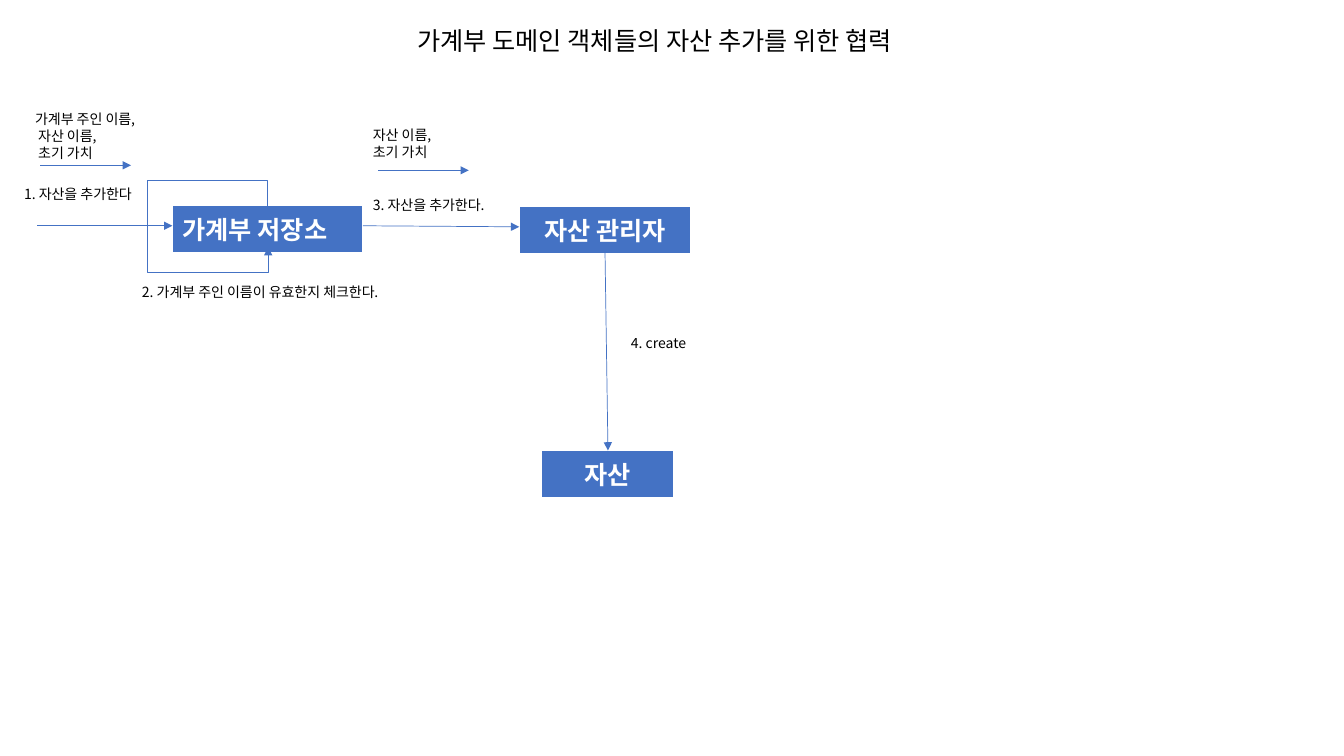
"""Build the slide on how ledger objects collaborate to add an asset."""
import pptx
import pptx.dml.color
import pptx.enum.shapes
import pptx.enum.text
import pptx.oxml
import pptx.oxml.ns
import pptx.util

Inches = pptx.util.Inches
RGB = pptx.dml.color.RGBColor.from_string
qn = pptx.oxml.ns.qn
ALIGN = pptx.enum.text.PP_ALIGN
FIT = pptx.enum.text.MSO_AUTO_SIZE.SHAPE_TO_FIT_TEXT
CONNECTOR = pptx.enum.shapes.MSO_CONNECTOR

THEME = {
    "accent": RGB("4472C4"),
    "title": {"name": "Noto Sans CJK KR", "size": pptx.util.Pt(18)},
    "object": {"name": "Noto Sans CJK KR", "size": pptx.util.Pt(18), "bold": True},
    "message": {"name": "Noto Sans CJK KR", "size": pptx.util.Pt(10)},
    "ink": {"title": RGB("000000"), "object": RGB("FFFFFF"), "message": RGB("000000")},
    "arrow": pptx.util.Pt(0.5),
}

OBJECTS = [
    ("자산 관리자", (5.15, 2.05, 1.7, 0.41), ALIGN.CENTER),
    ("자산", (5.37, 4.47, 1.31, 0.4), ALIGN.CENTER),
    ("가계부 저장소", (1.71, 2.04, 1.89, 0.41), ALIGN.LEFT),
]
LABELS = [
    ("title", ["가계부 도메인 객체들의 자산 추가를 위한 협력"], (4.04, 0.2, 5.53, 0.4), False),
    ("message", ["1. 자산을 추가한다"], (0.14, 1.79, 1.39, 0.27), False),
    ("message", ["가계부 주인 이름,", " 자산 이름,", " 초기 가치"], (0.25, 1.05, 1.7, 0.61), True),
    ("message", ["2. 가계부 주인 이름이 유효한지 체크한다."], (1.31, 2.76, 2.83, 0.27), False),
    ("message", ["3. 자산을 추가한다."], (3.6, 1.9, 1.42, 0.27), False),
    ("message", ["자산 이름,", "초기 가치"], (3.6, 1.21, 1.7, 0.44), True),
    ("message", ["4. create"], (6.16, 3.27, 0.75, 0.27), False),
]
ARROWS = [
    (0.4, 1.64, 1.3, 1.64),
    (0.37, 2.24, 1.71, 2.24),
    (3.6, 2.24, 5.15, 2.25),
    (3.75, 1.69, 4.65, 1.69),
    (6, 2.46, 6.03, 4.47),
]
SELF_CHECK = {"start": (2.65, 2.04), "end": (2.66, 2.45), "left": 1.44, "overhang": 0.25}


def write(paragraph, text, role):
    run = paragraph.add_run()
    run.text = text
    for attribute, value in THEME[role].items():
        setattr(run.font, attribute, value)
    run.font.color.rgb = THEME["ink"][role]
    east_asian = pptx.oxml.parse_xml(
        '<a:ea xmlns:a="http://schemas.openxmlformats.org/drawingml/2006/main"/>')
    east_asian.set("typeface", THEME[role]["name"])
    run.font._element.append(east_asian)


def add_arrow(slide, kind, ends):
    arrow = slide.shapes.add_connector(kind, *map(Inches, ends))
    arrow.line.color.rgb = THEME["accent"]
    arrow.line.width = THEME["arrow"]
    properties = arrow._element.spPr
    head = properties.find(qn("a:ln")).makeelement(qn("a:tailEnd"), {"type": "triangle"})
    properties.find(qn("a:ln")).append(head)
    properties.append(properties.makeelement(qn("a:effectLst"), {}))
    return arrow


def add_self_check(slide, start, end, left, overhang):
    across, down = end[0] - start[0], end[1] - start[1]
    middle_x, middle_y = (start[0] + end[0]) / 2, (start[1] + end[1]) / 2
    loop = add_arrow(slide, CONNECTOR.ELBOW, (
        middle_x + down / 2, middle_y - across / 2,
        middle_x - down / 2, middle_y + across / 2))
    properties = loop._element.spPr
    properties.find(qn("a:xfrm")).set("rot", str(270 * 60000))
    outline = properties.find(qn("a:prstGeom"))
    outline.set("prst", "bentConnector5")
    guides = outline.find(qn("a:avLst"))
    bends = (-overhang / down, (left - start[0]) / across, 1 + overhang / down)
    for number, bend in enumerate(bends, 1):
        guides.append(guides.makeelement(qn("a:gd"), {
            "name": f"adj{number}", "fmla": f"val {round(bend * 100000)}"}))


deck = pptx.Presentation()
deck.slide_width, deck.slide_height = Inches(13.33), Inches(7.5)
slide = deck.slides.add_slide(deck.slide_layouts[6])

for name, place, alignment in OBJECTS:
    cell = slide.shapes.add_table(1, 1, *map(Inches, place)).table.cell(0, 0)
    cell.fill.solid()
    cell.fill.fore_color.rgb = THEME["accent"]
    heading = cell.text_frame.paragraphs[0]
    heading.alignment = alignment
    write(heading, name, "object")

for role, lines, place, wraps in LABELS:
    frame = slide.shapes.add_textbox(*map(Inches, place)).text_frame
    for attribute, value in {"word_wrap": wraps, "auto_size": FIT}.items():
        setattr(frame, attribute, value)
    for index, line in enumerate(lines):
        write(frame.add_paragraph() if index else frame.paragraphs[0], line, role)

for ends in ARROWS:
    add_arrow(slide, CONNECTOR.STRAIGHT, ends)
add_self_check(slide, **SELF_CHECK)

deck.save("out.pptx")
